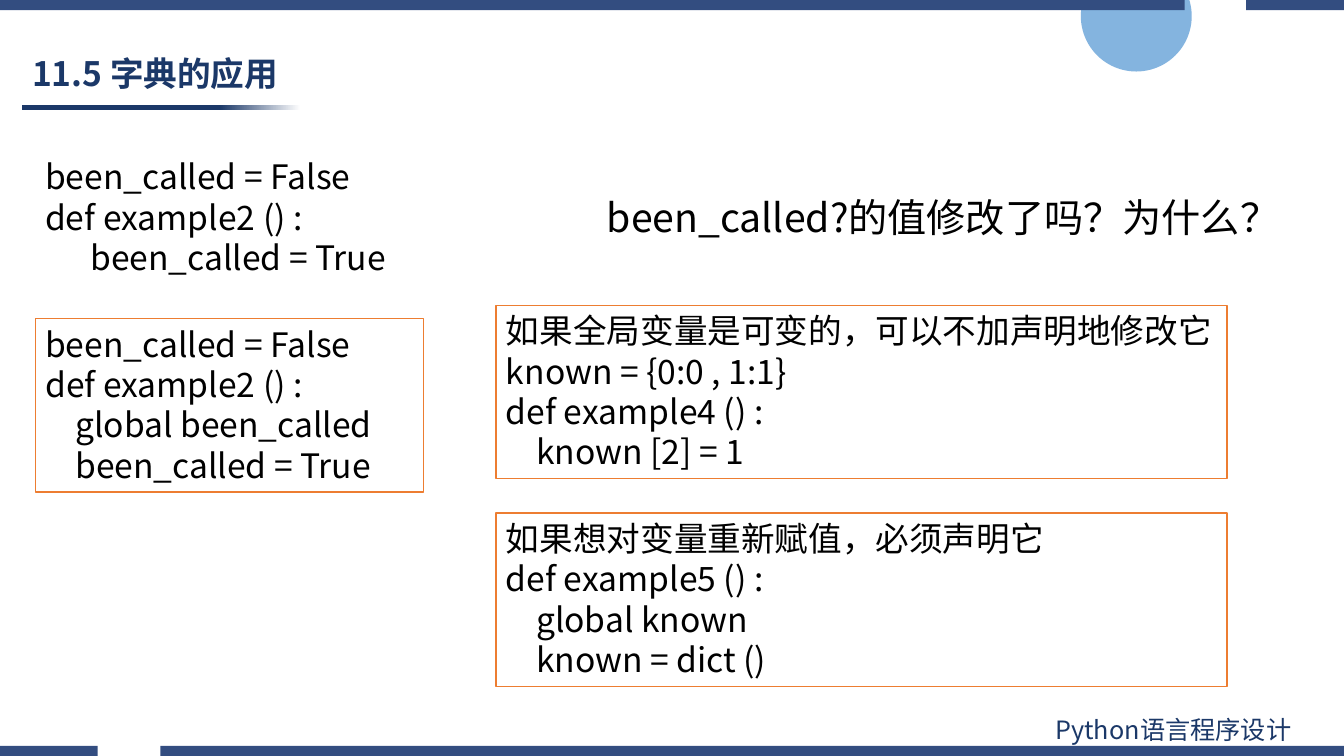
from lxml.etree import SubElement
from pptx import Presentation
from pptx.dml.color import RGBColor
from pptx.enum.shapes import MSO_SHAPE
from pptx.enum.text import MSO_ANCHOR, MSO_AUTO_SIZE, PP_ALIGN
from pptx.oxml.ns import qn
from pptx.util import Inches, Pt

FONT = "Noto Sans CJK SC"
NAVY = "1B3868"
BAR = "334D80"
BLACK = "000000"
WHITE = "FFFFFF"
ORANGE = "ED7D31"
SLIDE_W, SLIDE_H, BAR_H = 13.33, 7.5, 0.1


def rgb(value):
    return RGBColor.from_string(value)


def add_shape(s, kind, box, fill):
    sp = s.shapes.add_shape(kind, *map(Inches, box))
    sp.shadow.inherit = False
    sp.line.fill.background()
    sp.fill.solid()
    sp.fill.fore_color.rgb = rgb(fill)
    return sp


def add_circle(s):
    sp = add_shape(s, MSO_SHAPE.OVAL, (10.72, -0.39, 1.1, 1.1), "5B9BD5")
    color = sp.fill._xPr.find(qn("a:solidFill"))[0]
    SubElement(color, qn("a:alpha")).set("val", "75000")


def add_title_rule(s):
    sp = add_shape(s, MSO_SHAPE.RECTANGLE, (0.22, 1.04, 2.76, 0.05), NAVY)
    sp.fill.gradient()
    sp.fill.gradient_angle = 0
    stops = sp.fill.gradient_stops
    for stop, position, color in zip(stops, (0.71, 1), (NAVY, WHITE)):
        stop.position = position
        stop.color.rgb = rgb(color)


def add_split_bar(s, top, gap_left, gap_right):
    fb = None
    for left, right in ((0, gap_left), (gap_right, SLIDE_W)):
        corners = [(Inches(x), Inches(y)) for x, y in (
            (left, top), (right, top), (right, top + BAR_H), (left, top + BAR_H))]
        if fb is None:
            fb = s.shapes.build_freeform(*corners[0])
        else:
            fb.move_to(*corners[0])
        fb.add_line_segments(corners[1:], close=True)
    sp = fb.convert_to_shape()
    sp.shadow.inherit = False
    sp.fill.solid()
    sp.fill.fore_color.rgb = rgb(BAR)
    sp.line.fill.background()


def write_lines(sp, lines, size, color=BLACK, bold=False, wrap=True):
    tf = sp.text_frame
    tf.word_wrap = wrap
    tf.auto_size = MSO_AUTO_SIZE.SHAPE_TO_FIT_TEXT
    tf.vertical_anchor = MSO_ANCHOR.TOP
    for i, line in enumerate(lines):
        p = tf.add_paragraph() if i else tf.paragraphs[0]
        p.alignment = PP_ALIGN.LEFT
        p.line_spacing = Pt(size * 1.2)
        r = p.add_run()
        r.text = line
        r.font.size = Pt(size)
        r.font.bold = bold
        r.font.name = FONT
        r.font.color.rgb = rgb(color)
        SubElement(r.font._element, qn("a:ea")).set("typeface", FONT)
    return tf


def add_text(s, box, lines, size, **style):
    sp = s.shapes.add_textbox(*map(Inches, box))
    return write_lines(sp, lines, size, **style)


def add_code_box(s, left, top, width, lines):
    sp = add_shape(s, MSO_SHAPE.RECTANGLE, (left, top, width, 1.72), WHITE)
    sp.line.color.rgb = rgb(ORANGE)
    sp.line.width = Pt(1)
    write_lines(sp, lines, 24)


def main():
    prs = Presentation()
    prs.slide_width, prs.slide_height = Inches(SLIDE_W), Inches(SLIDE_H)
    s = prs.slides.add_slide(prs.slide_layouts[6])

    add_circle(s)
    add_title_rule(s)
    add_split_bar(s, SLIDE_H - BAR_H, 0.97, 1.59)
    add_split_bar(s, 0, 11.75, 12.36)
    add_text(s, (10.37, 7.04, 2.94, 0.4), ["Python语言程序设计"], 18, color=NAVY)

    tf = add_text(s, (0.22, 0.45, 3.58, 0.56), ["11.5 字典的应用"], 24,
                  color=NAVY, bold=True)
    tf.auto_size = MSO_AUTO_SIZE.NONE
    tf.vertical_anchor = MSO_ANCHOR.MIDDLE

    add_text(s, (0.35, 1.5, 12.06, 1.31), [
        "been_called = False",
        "def example2 () :",
        "      been_called = True",
    ], 24)
    add_text(s, (5.92, 1.87, 6.68, 0.57),
             ["been_called?的值修改了吗？为什么？"], 28, wrap=False)

    add_code_box(s, 0.35, 3.16, 3.85, [
        "been_called = False",
        "def example2 () :",
        "    global been_called",
        "    been_called = True",
    ])
    add_code_box(s, 4.92, 3.03, 7.25, [
        "如果全局变量是可变的，可以不加声明地修改它",
        "known = {0:0 , 1:1}",
        "def example4 () :",
        "    known [2] = 1",
    ])
    add_code_box(s, 4.92, 5.09, 7.25, [
        "如果想对变量重新赋值，必须声明它",
        "def example5 () :",
        "    global known",
        "    known = dict ()",
    ])
    prs.save("out.pptx")


if __name__ == "__main__":
    main()
